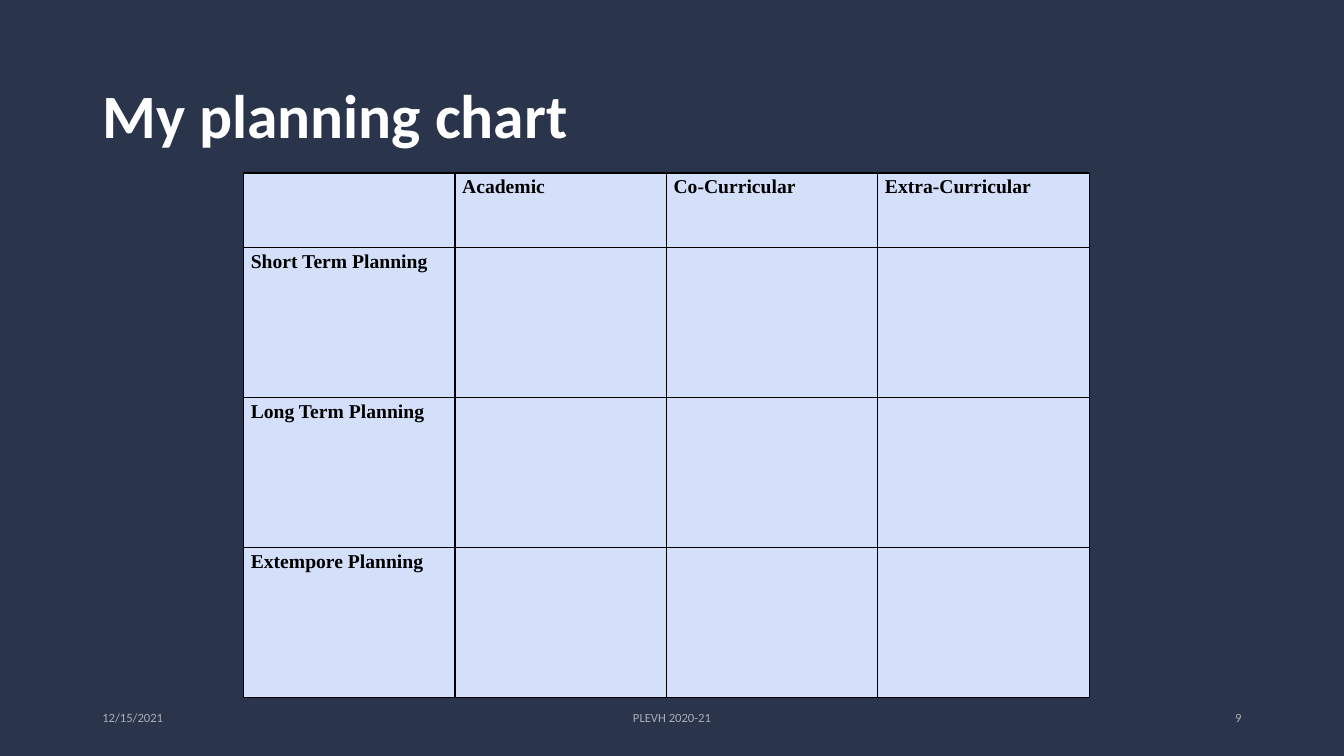
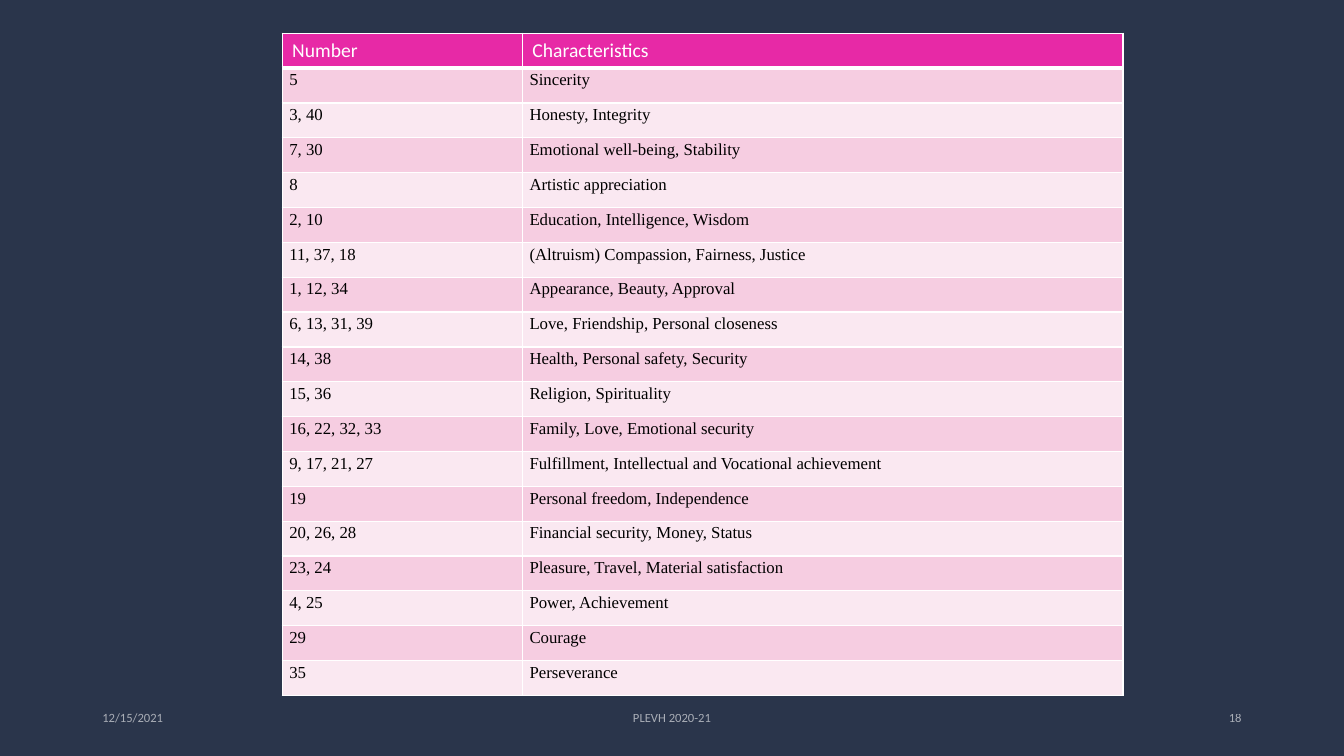
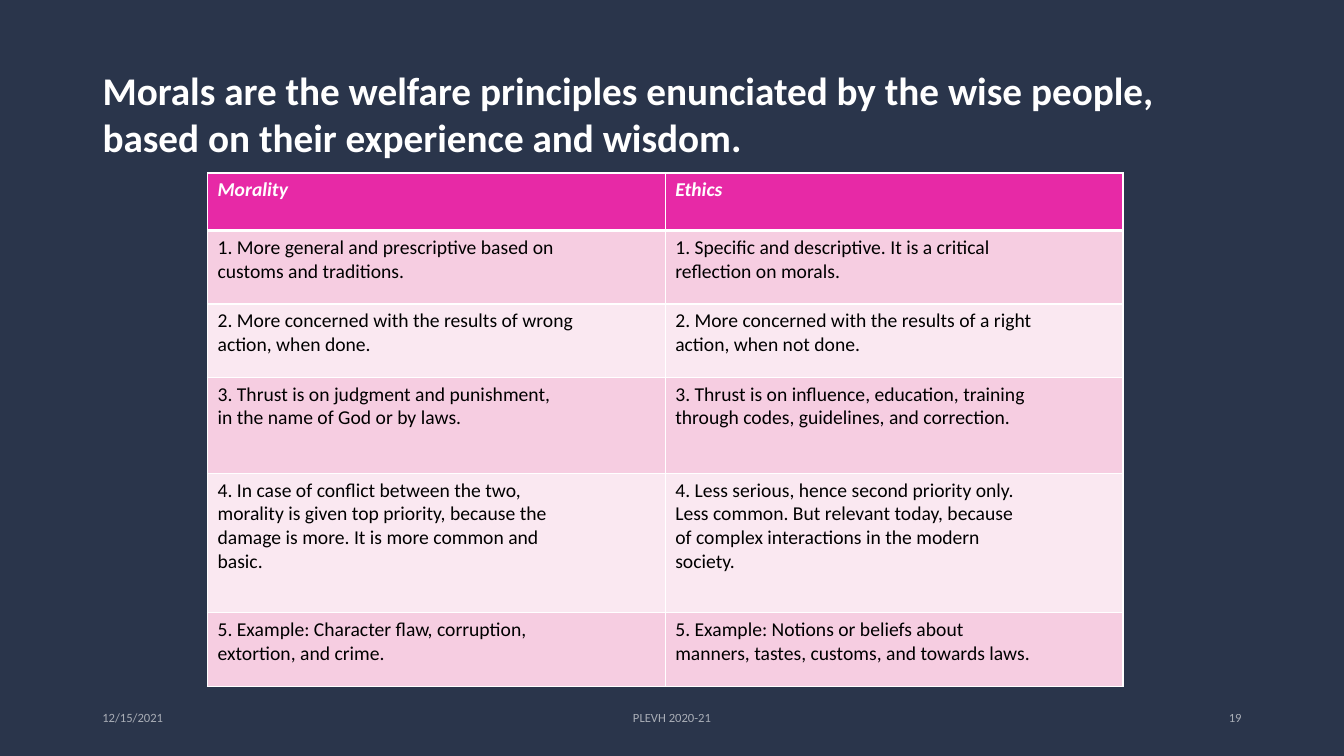
from dataclasses import dataclass

from lxml.etree import SubElement
from pptx import Presentation
from pptx.dml.color import RGBColor as Rgb
from pptx.enum.text import MSO_ANCHOR as Anchor, MSO_AUTO_SIZE as AutoSize, PP_ALIGN as Align
from pptx.oxml.ns import qn
from pptx.util import Cm, Pt


# Colours and type sizes
@dataclass(frozen=True)
class Theme:
    navy: str = "2A354B"
    white: str = "FFFFFF"
    black: str = "000000"
    pale_blue: str = "D4E0FA"
    magenta: str = "E729A6"
    pink: str = "F6CDE1"
    light_pink: str = "FAE8F1"
    sans: str = "Calibri"
    serif: str = "Times New Roman"
    title_size: int = 44
    long_title_size: int = 28
    heading_size: int = 14
    list_size: int = 12
    footer_size: int = 9
    footer_opacity: int = 60
    rule: int = 1
    heading_rule: int = 3


THEME = Theme()


@dataclass(frozen=True)
class Box:
    left: float
    top: float
    width: float
    height: float

    def lengths(self):
        return Cm(self.left), Cm(self.top), Cm(self.width), Cm(self.height)


@dataclass(frozen=True)
class TextStyle:
    font: str
    size: int
    color: str
    bold: bool = False
    italic: bool = False
    tight: bool = False  # narrow cell margins with looser lines


@dataclass(frozen=True)
class TableStyle:
    heading: TextStyle
    body: TextStyle
    heading_fill: str
    body_fills: tuple
    border: str
    heading_rule: int


PAGE = Box(0, 0, 33.87, 19.05)
TITLE = Box(2.33, 1.02, 29.21, 3.68)
FOOTER = Box(2.33, 17.58, 29.21, 1.01)

# Text and table styles
GRID_TEXT = TextStyle(THEME.serif, THEME.heading_size, THEME.black, bold=True, tight=True)
LIST_TEXT = TextStyle(THEME.serif, THEME.list_size, THEME.black, tight=True)
PLAIN_TEXT = TextStyle(THEME.sans, THEME.heading_size, THEME.black)
LIST_HEADING = TextStyle(THEME.sans, THEME.heading_size, THEME.white)
PAIR_HEADING = TextStyle(THEME.sans, THEME.heading_size, THEME.white, bold=True, italic=True)
FOOTER_TEXT = TextStyle(THEME.sans, THEME.footer_size, THEME.white)

PINK_BANDS = (THEME.pink, THEME.light_pink)
GRID_TABLE = TableStyle(GRID_TEXT, GRID_TEXT, THEME.pale_blue, (THEME.pale_blue,),
                        THEME.black, THEME.rule)
LIST_TABLE = TableStyle(LIST_HEADING, LIST_TEXT, THEME.magenta, PINK_BANDS,
                        THEME.white, THEME.heading_rule)
PAIR_TABLE = TableStyle(PAIR_HEADING, PLAIN_TEXT, THEME.magenta, PINK_BANDS,
                        THEME.white, THEME.heading_rule)

# Content
PLANNING = [
    ("", "Academic", "Co-Curricular", "Extra-Curricular"),
    ("Short Term Planning", "", "", ""),
    ("Long Term Planning", "", "", ""),
    ("Extempore Planning", "", "", ""),
]
CHARACTERISTICS = [
    ("Number", "Characteristics"),
    ("5", "Sincerity"),
    ("3, 40", "Honesty, Integrity"),
    ("7, 30", "Emotional well-being, Stability"),
    ("8", "Artistic appreciation"),
    ("2, 10", "Education, Intelligence, Wisdom"),
    ("11, 37, 18", "(Altruism) Compassion, Fairness, Justice"),
    ("1, 12, 34", "Appearance, Beauty, Approval"),
    ("6, 13, 31, 39", "Love, Friendship, Personal closeness"),
    ("14, 38", "Health, Personal safety, Security"),
    ("15, 36", "Religion, Spirituality"),
    ("16, 22, 32, 33", "Family, Love, Emotional security"),
    ("9, 17, 21, 27", "Fulfillment, Intellectual and Vocational achievement"),
    ("19", "Personal freedom, Independence"),
    ("20, 26, 28", "Financial security, Money, Status"),
    ("23, 24", "Pleasure, Travel, Material satisfaction"),
    ("4, 25", "Power, Achievement"),
    ("29", "Courage"),
    ("35", "Perseverance"),
]
MORALS_AND_ETHICS = [
    ("Morality", "Ethics"),
    ("1. More general and prescriptive based on\ncustoms and traditions.",
     "1. Specific and descriptive. It is a critical\nreflection on morals."),
    ("2. More concerned with the results of wrong\naction, when done.",
     "2. More concerned with the results of a right\naction, when not done."),
    ("3. Thrust is on judgment and punishment,\nin the name of God or by laws.",
     "3. Thrust is on influence, education, training\n"
     "through codes, guidelines, and correction."),
    ("4. In case of conflict between the two,\nmorality is given top priority, because the\n"
     "damage is more. It is more common and\nbasic.",
     "4. Less serious, hence second priority only.\nLess common. But relevant today, because\n"
     "of complex interactions in the modern\nsociety."),
    ("5. Example: Character flaw, corruption,\nextortion, and crime.",
     "5. Example: Notions or beliefs about\nmanners, tastes, customs, and towards laws."),
]


def add_span(para, text, style):
    span = para.add_run()
    span.text = text
    font = span.font
    font.name, font.size = style.font, Pt(style.size)
    font.bold, font.italic = style.bold, style.italic
    font.color.rgb = Rgb.from_string(style.color)
    return span


def add_title(page, box, text, size):
    title = page.shapes.title
    title.left, title.top, title.width, title.height = box.lengths()
    frame = title.text_frame
    frame.word_wrap, frame.auto_size = True, AutoSize.NONE
    frame.vertical_anchor = Anchor.MIDDLE
    para = frame.paragraphs[0]
    para.alignment = Align.LEFT
    add_span(para, text, TextStyle(THEME.sans, size, THEME.white, bold=True))


def add_footer(page, box, number):
    side, middle = 7.62, 11.43
    parts = [
        ("12/15/2021", 0, side, Align.LEFT),
        ("PLEVH 2020-21", (box.width - middle) / 2, middle, Align.CENTER),
        (str(number), box.width - side, side, Align.RIGHT),
    ]
    for text, offset, width, align in parts:
        part = Box(box.left + offset, box.top, width, box.height)
        frame = page.shapes.add_textbox(*part.lengths()).text_frame
        frame.word_wrap, frame.vertical_anchor = True, Anchor.MIDDLE
        para = frame.paragraphs[0]
        para.alignment = align
        span = add_span(para, text, FOOTER_TEXT)
        color = span.font.fill._xPr.find(f"{qn('a:solidFill')}/{qn('a:srgbClr')}")
        SubElement(color, qn("a:alpha"), val=str(THEME.footer_opacity * 1000))


def set_borders(cell, color, bottom):
    properties = cell._tc.get_or_add_tcPr()
    widths = {"a:lnL": THEME.rule, "a:lnR": THEME.rule, "a:lnT": THEME.rule, "a:lnB": bottom}
    for place, (side, width) in enumerate(widths.items()):
        line = SubElement(properties, qn(side), w=str(Pt(width)))
        SubElement(SubElement(line, qn("a:solidFill")), qn("a:srgbClr"), val=color)
        properties.insert(place, line)  # borders come before the fill


def fill_cell(cell, text, style, fill):
    cell.fill.solid()
    cell.fill.fore_color.rgb = Rgb.from_string(fill)
    if style.tight:
        cell.margin_left = cell.margin_right = Cm(0.18)
        cell.margin_top = cell.margin_bottom = 0
    if not text:
        return
    frame = cell.text_frame
    for place, line in enumerate(text.split("\n")):
        para = frame.add_paragraph() if place else frame.paragraphs[0]
        if style.tight:
            para.line_spacing = 1.15
        add_span(para, line, style)


def add_grid(page, box, rows, shares, heights, style):
    """Columns split the box by shares; heights are in centimetres."""
    table = page.shapes.add_table(len(rows), len(shares), *box.lengths()).table
    table.horz_banding = False
    for column, share in zip(table.columns, shares):
        column.width = Cm(box.width * share / sum(shares))
    for index, (row, height) in enumerate(zip(rows, heights)):
        table.rows[index].height = Cm(height)
        heading = index == 0
        text_style = style.heading if heading else style.body
        fill = style.heading_fill if heading else style.body_fills[(index - 1) % len(style.body_fills)]
        for position, text in enumerate(row):
            cell = table.cell(index, position)
            fill_cell(cell, text, text_style, fill)
            set_borders(cell, style.border, style.heading_rule if heading else THEME.rule)


def add_table_page(deck, number, box, rows, shares, heights, style,
                   title=None, title_size=THEME.title_size):
    page = deck.slides.add_slide(deck.slide_layouts[5 if title else 6])
    if title:
        add_title(page, TITLE, title, title_size)
    add_footer(page, FOOTER, number)
    add_grid(page, box, rows, shares, heights, style)


def main():
    deck = Presentation()
    deck.slide_width, deck.slide_height = Cm(PAGE.width), Cm(PAGE.height)

    # Shared background
    background = deck.slide_master.background.fill
    background.solid()
    background.fore_color.rgb = Rgb.from_string(THEME.navy)

    # Planning chart
    add_table_page(deck, 9, Box(6.14, 4.36, 21.31, 13.22), PLANNING, (1, 1, 1, 1),
                   (1.88, 3.78, 3.78, 3.78), GRID_TABLE, "My planning chart")

    # Characteristics by number
    box = Box(7.11, 0.84, 21.19, 16.69)
    count = len(CHARACTERISTICS)
    add_table_page(deck, 18, box, CHARACTERISTICS, (2, 5), [box.height / count] * count, LIST_TABLE)

    # Morality against ethics
    add_table_page(deck, 19, Box(5.23, 4.36, 23.07, 12.93), MORALS_AND_ETHICS, (1, 1),
                   (1.45, 1.85, 1.85, 2.42, 3.51, 1.85), PAIR_TABLE,
                   "Morals are the welfare principles enunciated by the wise people, "
                   "based on their experience and wisdom.", THEME.long_title_size)

    deck.save("out.pptx")


if __name__ == "__main__":
    main()
